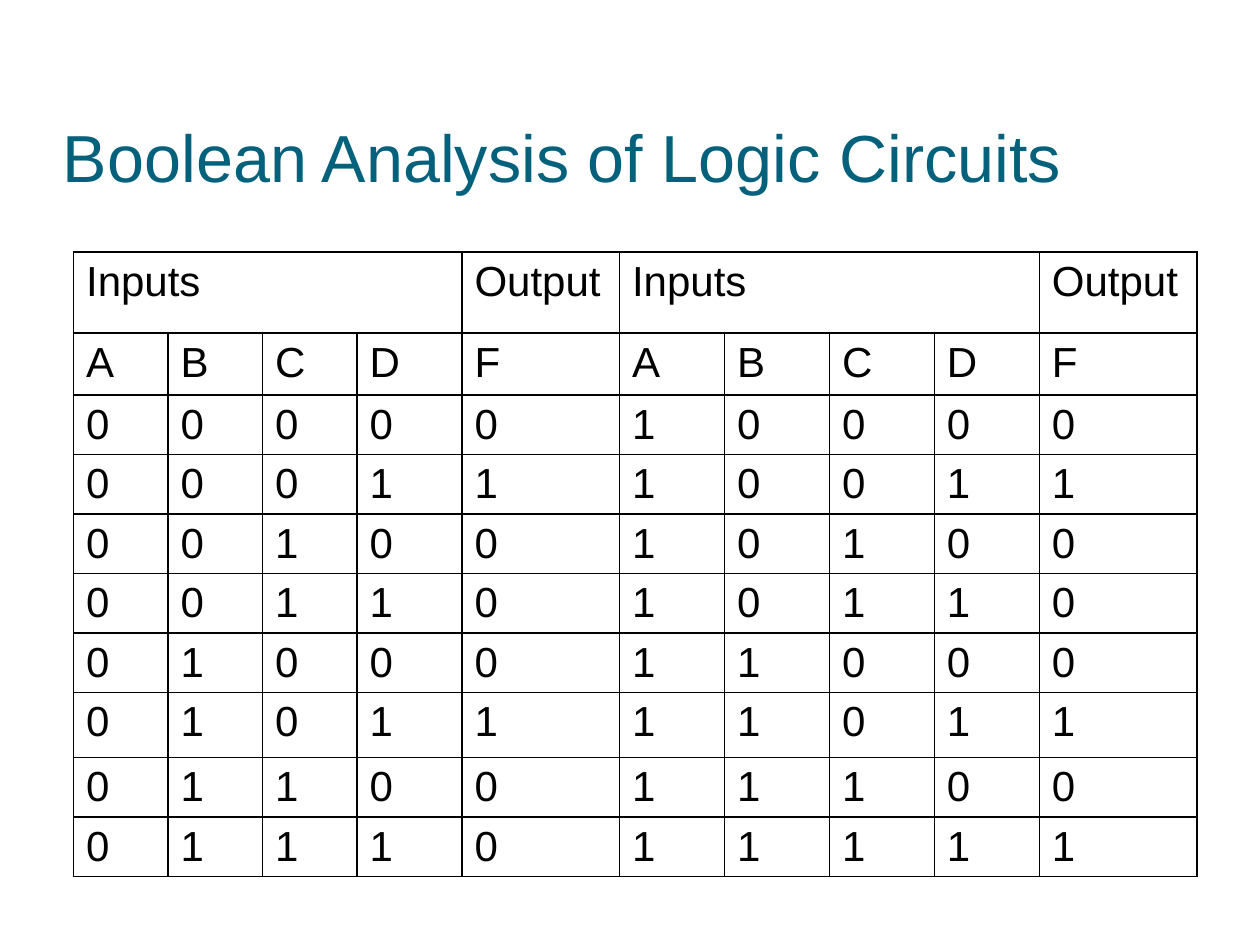
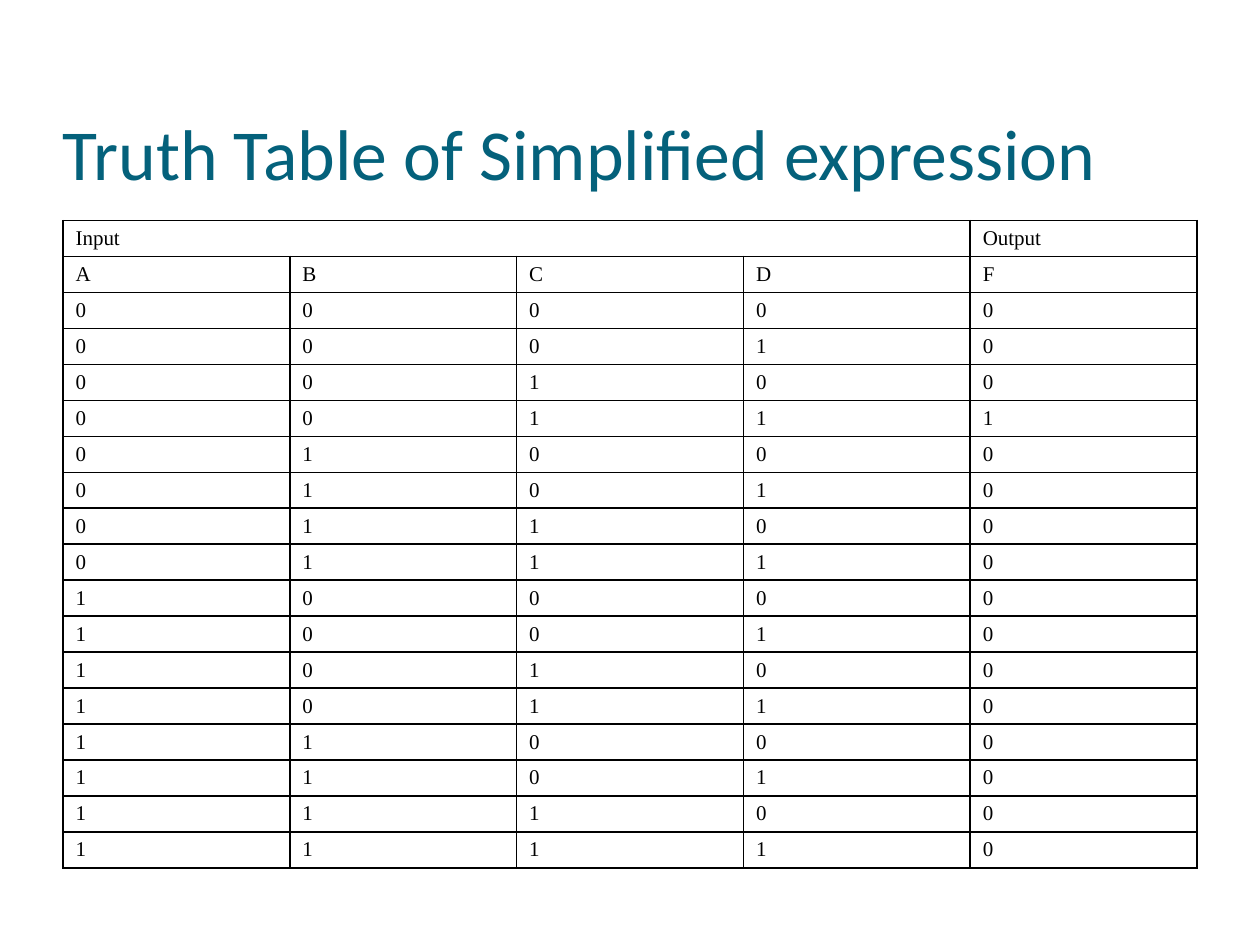
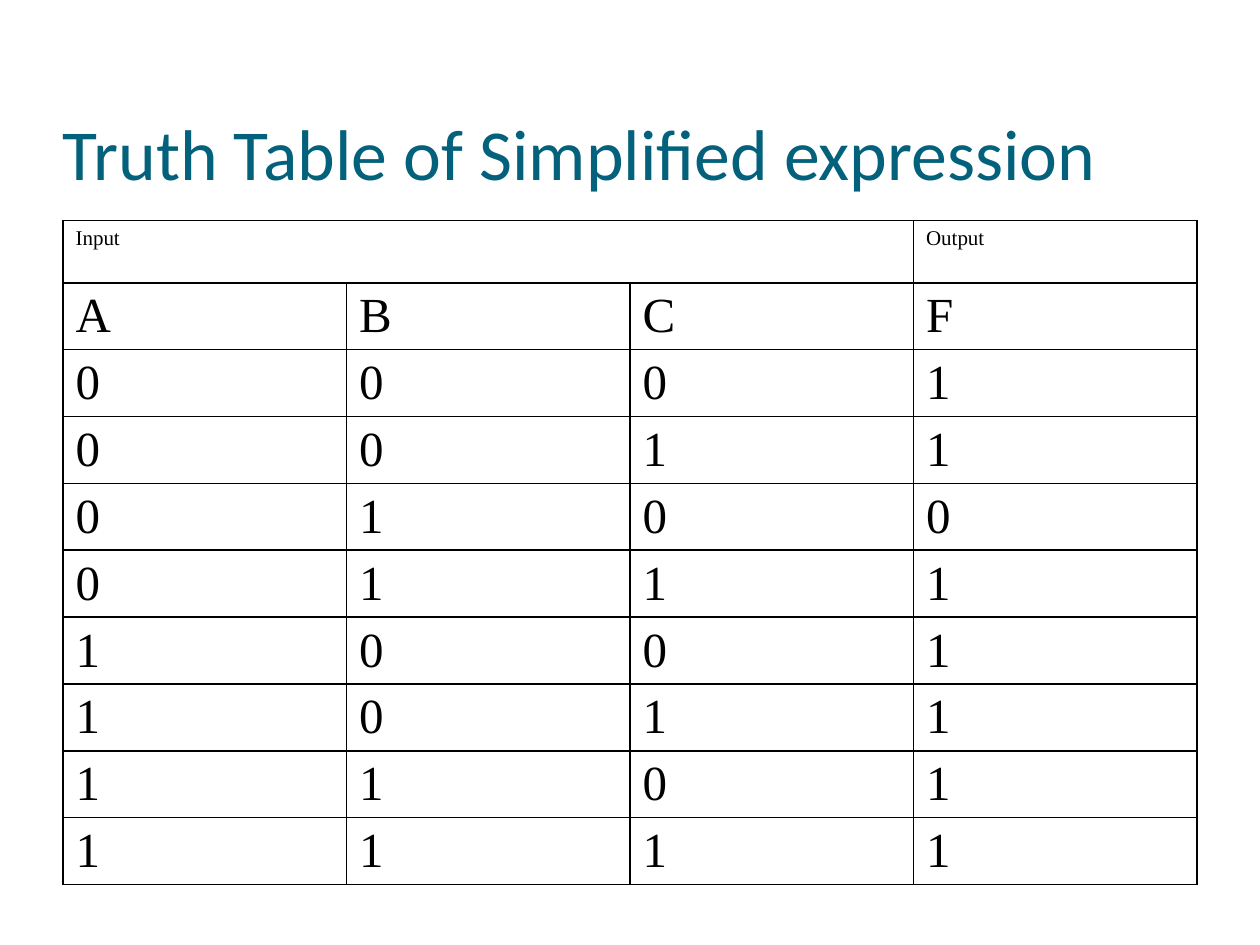
from itertools import product

from lxml.etree import SubElement as Sub
from pptx import Presentation
from pptx.dml.color import RGBColor as RGB
from pptx.enum.text import MSO_ANCHOR as Anchor, PP_ALIGN as Align
from pptx.oxml.ns import qn
from pptx.util import Pt

HUES = {"title": "04617B", "ink": "000000"}
SERIF = "Times New Roman"


def truth(outs):
    size = len(outs).bit_length() - 1
    return [list(bits) + [out] for bits, out in zip(product("01", repeat=size), outs)]


class Deck:
    def __init__(self):
        self.prs = Presentation()
        self.prs.slide_width, self.prs.slide_height = Pt(720), Pt(540)
        self.slide = None

    def page(self, title, font, size):
        self.slide = self.prs.slides.add_slide(self.prs.slide_layouts[6])
        box = self.slide.shapes.add_textbox(Pt(36), Pt(21.6), Pt(648), Pt(90))
        frame = box.text_frame
        frame.word_wrap = True
        frame.vertical_anchor = Anchor.BOTTOM
        frame.margin_left = frame.margin_right = frame.margin_bottom = 0
        frame.margin_top = Pt(3.6)
        frame.text = title
        self.style(frame.paragraphs[0], font, size, "title")

    def style(self, para, font, size, hue="ink"):
        for run in para.runs:
            run.font.name = font
            run.font.size = Pt(size)
            run.font.color.rgb = RGB.from_string(HUES[hue])

    def edge(self, cell):
        cell.fill.background()
        props = cell._tc.get_or_add_tcPr()
        for spot, side in enumerate(("lnL", "lnR", "lnT", "lnB")):
            line = Sub(props, qn("a:" + side), w=str(int(Pt(1))))
            fill = Sub(line, qn("a:solidFill"))
            Sub(fill, qn("a:srgbClr"), val=HUES["ink"])
            props.insert(spot, line)

    def fill(self, cell, text, font, size, hang):
        cell.margin_bottom = 0
        cell.text_frame.text = text
        para = cell.text_frame.paragraphs[0]
        para.alignment = Align.JUSTIFY
        if hang:
            props = para._p.get_or_add_pPr()
            props.set("marL", str(int(Pt(27))))
            props.set("indent", str(int(Pt(-27))))
        if not text:
            para._p.get_or_add_endParaRPr().set("sz", str(size * 100))
        self.style(para, font, size)
        self.edge(cell)

    def table(self, left, top, cols, rows, data, spans, font, size, head, hangs=()):
        box = self.slide.shapes.add_table(
            len(rows), len(cols), Pt(left), Pt(top), Pt(sum(cols)), Pt(sum(rows)))
        grid = box.table
        grid.first_row = grid.horz_banding = False
        for col, wide in zip(grid.columns, cols):
            col.width = Pt(wide)
        for row, tall in zip(grid.rows, rows):
            row.height = Pt(tall)
        tops = [""] * len(cols)
        for text, first, last in spans:
            tops[first] = text
            if last > first:
                grid.cell(0, first).merge(grid.cell(0, last))
        for r, line in enumerate([tops] + data):
            for c, text in enumerate(line):
                self.fill(grid.cell(r, c), text, font, size if r else head, c in hangs)


def main():
    deck = Deck()

    deck.page("Boolean Analysis of Logic Circuits", "Arial", 38)
    full = [list("ABCDF")] + truth("0100010001000101")
    data = [a + b for a, b in zip(full[:9], full[:1] + full[9:])]
    deck.table(42, 144, [54] * 3 + [60, 90] + [60] * 4 + [90],
               [46.2, 35.5] + [34] * 5 + [37.2] + [34] * 2, data,
               [("Inputs", 0, 3), ("Output", 4, 4), ("Inputs", 5, 8), ("Output", 9, 9)],
               "Arial", 24, 24, (0, 1, 2, 3, 9))

    title = "Truth Table of Simplified expression"
    deck.page(title, "Calibri", 41)
    deck.table(36, 126, [129.6] * 5, [20.56] * 18,
               [list("ABCDF")] + truth("0001" + "0" * 12),
               [("Input", 0, 3), ("Output", 4, 4)], SERIF, 12, 12, range(5))

    deck.page(title, "Calibri", 41)
    deck.table(36, 126, [162] * 4, [35.6] + [38.22] * 9,
               [list("ABCF")] + truth("11011111"),
               [("Input", 0, 2), ("Output", 3, 3)], SERIF, 28, 12)

    deck.prs.save("out.pptx")


if __name__ == "__main__":
    main()
